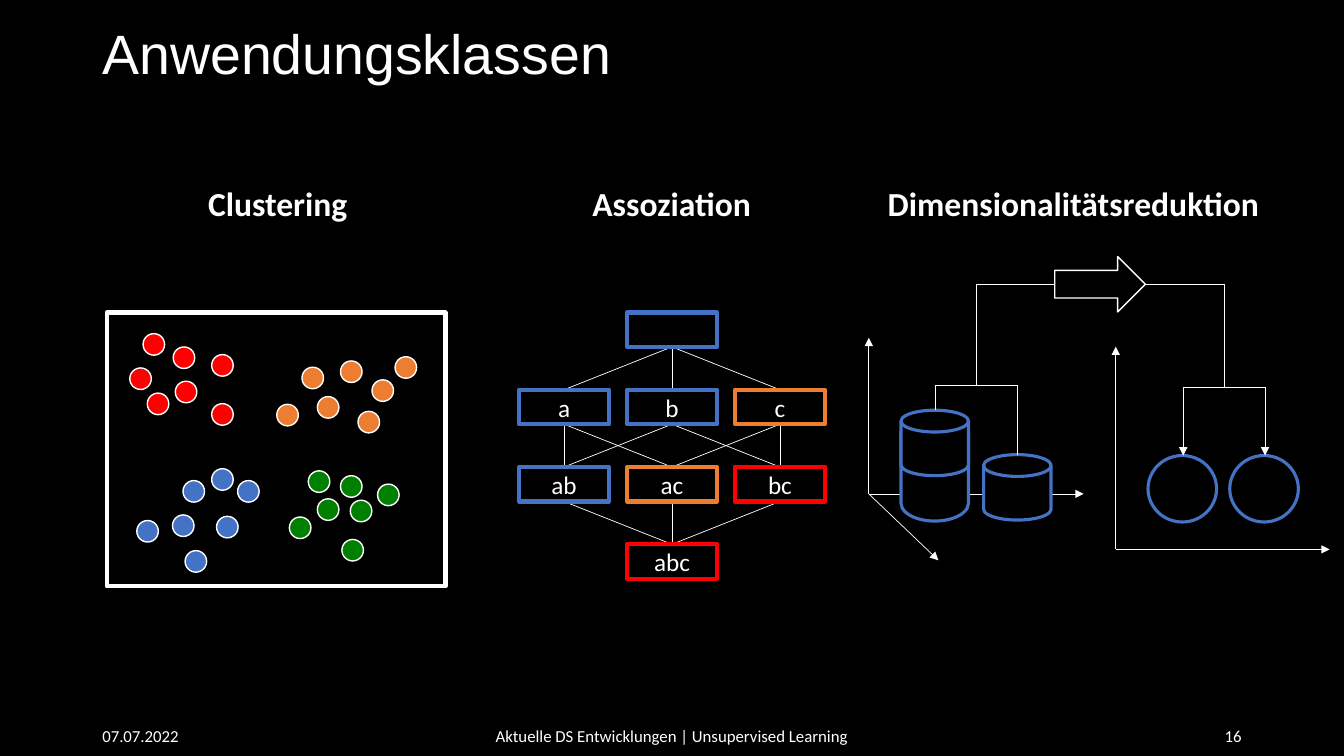
from lxml.etree import SubElement
from pptx import Presentation
from pptx.dml.color import RGBColor
from pptx.enum.shapes import MSO_CONNECTOR, MSO_SHAPE
from pptx.enum.text import MSO_ANCHOR, MSO_AUTO_SIZE, PP_ALIGN
from pptx.oxml.ns import qn
from pptx.util import Pt

WHITE, BLACK = "FFFFFF", "000000"
RED, BLUE, ORANGE, GREEN = "FF0000", "4472C4", "ED7D31", "008001"

CLUSTERS = {
    RED: [(49, 49), (47.5, 24.5), (29, 57.5), (75, 30), (75, 65), (26, 15), (16.5, 39.5)],
    BLUE: [(56, 170), (21.5, 148.5), (47, 144.5), (93.5, 120), (54.5, 120), (78.5, 145.5), (75, 111.5)],
    ORANGE: [(189.5, 48), (167, 34.5), (150.5, 60), (206, 31.5), (179.5, 70.5), (121.5, 65.5), (139.5, 39)],
    GREEN: [(174, 134), (167, 116.5), (130.5, 146), (193.5, 122.5), (168, 162), (144, 113), (150.5, 133)],
}
ITEM_SETS = [
    [("", 1, BLUE)],
    [("a", 0, BLUE), ("b", 1, BLUE), ("c", 2, ORANGE)],
    [("ab", 0, BLUE), ("ac", 1, ORANGE), ("bc", 2, RED)],
    [("abc", 1, RED)],
]


def colour(value):
    """Turn a hex string into a colour."""
    return RGBColor.from_string(value)


def write(frame, text, size, align=PP_ALIGN.LEFT, anchor=MSO_ANCHOR.MIDDLE, font="Calibri", bold=False):
    """Put one formatted white paragraph into a text frame and return it."""
    frame.word_wrap = True
    frame.auto_size = MSO_AUTO_SIZE.NONE
    frame.vertical_anchor = anchor
    para = frame.paragraphs[0]
    para.text = text
    para.alignment = align
    para.font.name = font
    para.font.size = Pt(size)
    para.font.bold = bold
    para.font.color.rgb = colour(WHITE)
    return para


def add_label(page, box, text, size, align, **style):
    """Add a text box that fills the given box."""
    label = page.shapes.add_textbox(*map(Pt, box))
    write(label.text_frame, text, size, align, **style)


def add_figure(page, kind, box, line, width, fill=None):
    """Add a preset shape with an outline and an optional fill."""
    figure = page.shapes.add_shape(kind, *map(Pt, box))
    figure.shadow.inherit = False
    if fill:
        figure.fill.solid()
        figure.fill.fore_color.rgb = colour(fill)
    else:
        figure.fill.background()
    figure.line.color.rgb = colour(line)
    figure.line.width = Pt(width)
    return figure


def add_line(page, start, end, arrow=False):
    """Add a thin white line, with an arrowhead at its end if asked."""
    line = page.shapes.add_connector(MSO_CONNECTOR.STRAIGHT, *map(Pt, (*start, *end)))
    line.line.color.rgb = colour(WHITE)
    line.line.width = Pt(0.5)
    if arrow:
        SubElement(line.line._get_or_add_ln(), qn("a:tailEnd"), type="triangle")
    SubElement(line.element.spPr, qn("a:effectLst"))
    return line


def add_bracket(page, left, right, top, arrow=False):
    """Join two points by a bracket whose bar lies at the given height."""
    corners = (left[0], top), (right[0], top)
    add_line(page, *corners)
    for corner, foot in zip(corners, (left, right)):
        add_line(page, corner, foot, arrow)


def add_title(page, box, text):
    """Place the slide title."""
    title = page.shapes.title
    title.left, title.top, title.width, title.height = map(Pt, box)
    para = write(title.text_frame, text, 39.6, font="Arial")
    para.line_spacing = 0.9


def add_footer(page, box):
    """Place date, topic and page number along the bottom."""
    left, top, width, height = box
    side, middle = 216, 324
    add_label(page, (left, top, side, height), "07.07.2022", 12, PP_ALIGN.LEFT)
    add_label(page, (left + (width - middle) / 2, top, middle, height),
              "Aktuelle DS Entwicklungen | Unsupervised Learning", 12, PP_ALIGN.CENTER)
    add_label(page, (left + width - side, top, side, height), "16", 12, PP_ALIGN.RIGHT)


def add_clustering(page, box):
    """Draw the framed scatter of four clusters."""
    left, top = box[:2]
    add_figure(page, MSO_SHAPE.RECTANGLE, box, WHITE, 3)
    for fill, dots in CLUSTERS.items():
        for x, y in dots:
            add_figure(page, MSO_SHAPE.OVAL, (left + x, top + y, 15.4, 15.4), WHITE, 1, fill)


def add_association(page, box):
    """Draw the lattice of item sets, each linked to its supersets."""
    left, top, width, height = box
    node_width, node_height = 64.2, 24.6
    column_step = (width - node_width) / 2
    row_step = (height - node_height) / 3
    previous = []
    for row, item_sets in enumerate(ITEM_SETS):
        current = []
        for text, column, line in item_sets:
            place = (left + column * column_step, top + row * row_step, node_width, node_height)
            node = add_figure(page, MSO_SHAPE.RECTANGLE, place, line, 3)
            if text:
                write(node.text_frame, text, 18, PP_ALIGN.CENTER)
            current.append((text, node))
            for subset, parent in previous:
                if set(subset) <= set(text):
                    edge = add_line(page, (0, 0), (0, 0))
                    edge.begin_connect(parent, 2)
                    edge.end_connect(node, 0)
                    edge.element.getparent().insert(2, edge.element)
        previous = current


def add_reduction(page, box):
    """Draw cylinders in three dimensions reduced to circles in two."""
    left, top, width, height = box

    def at(x, y):
        return left + x, top + y

    space, plane = at(0, 169.6), at(176.4, 209.2)
    for tip in (at(49.7, height), at(0, 58), at(153.4, 169.6)):
        add_line(page, space, tip, arrow=True)
    for tip in (at(width, 209.2), at(176.4, 64.4)):
        add_line(page, plane, tip, arrow=True)
    for x, y, tall in ((23, 112.7, 76.3), (82, 141.5, 46.8), (23, 109.8, 46.8)):
        add_figure(page, MSO_SHAPE.FLOWCHART_MAGNETIC_DISK, (*at(x, y), 48.2, tall), BLUE, 2.25, BLACK)
    for x in (199.4, 257.8):
        add_figure(page, MSO_SHAPE.OVAL, (*at(x, 142.2), 49, 47.5), BLUE, 2.25)
    add_bracket(page, at(47.3, 109.8), at(106.3, 141.5), top + 91.8)
    add_bracket(page, at(224.6, 142.2), at(283, 142.2), top + 93.2, arrow=True)
    add_bracket(page, at(77, 91.8), at(254.2, 93.2), top + 19.8)
    add_figure(page, MSO_SHAPE.RIGHT_ARROW, (*at(132.8, 0), 64.8, 39.6), WHITE, 1, BLACK)


def build_classes(page):
    """Lay out the slide of application classes."""
    page.background.fill.solid()
    page.background.fill.fore_color.rgb = colour(BLACK)
    add_title(page, (66, 13.5, 828, 54), "Anwendungsklassen")
    headings = ((57.4, "Clustering"), (338.8, "Assoziation"), (625.8, "Dimensionalitätsreduktion"))
    for left, text in headings:
        add_label(page, (left, 126.8, 282, 36), text, 24, PP_ALIGN.CENTER, anchor=MSO_ANCHOR.TOP, bold=True)
    add_clustering(page, (76.2, 223.3, 242, 195.6))
    add_association(page, (370.8, 223.2, 218.4, 190.2))
    add_reduction(page, (620.6, 183.2, 329.2, 217))
    add_footer(page, (66, 511.2, 828, 28.8))


def main():
    """Build the deck and save it."""
    deck = Presentation()
    deck.slide_width, deck.slide_height = Pt(960), Pt(540)
    build_classes(deck.slides.add_slide(deck.slide_layouts[5]))
    deck.save("out.pptx")


if __name__ == "__main__":
    main()
